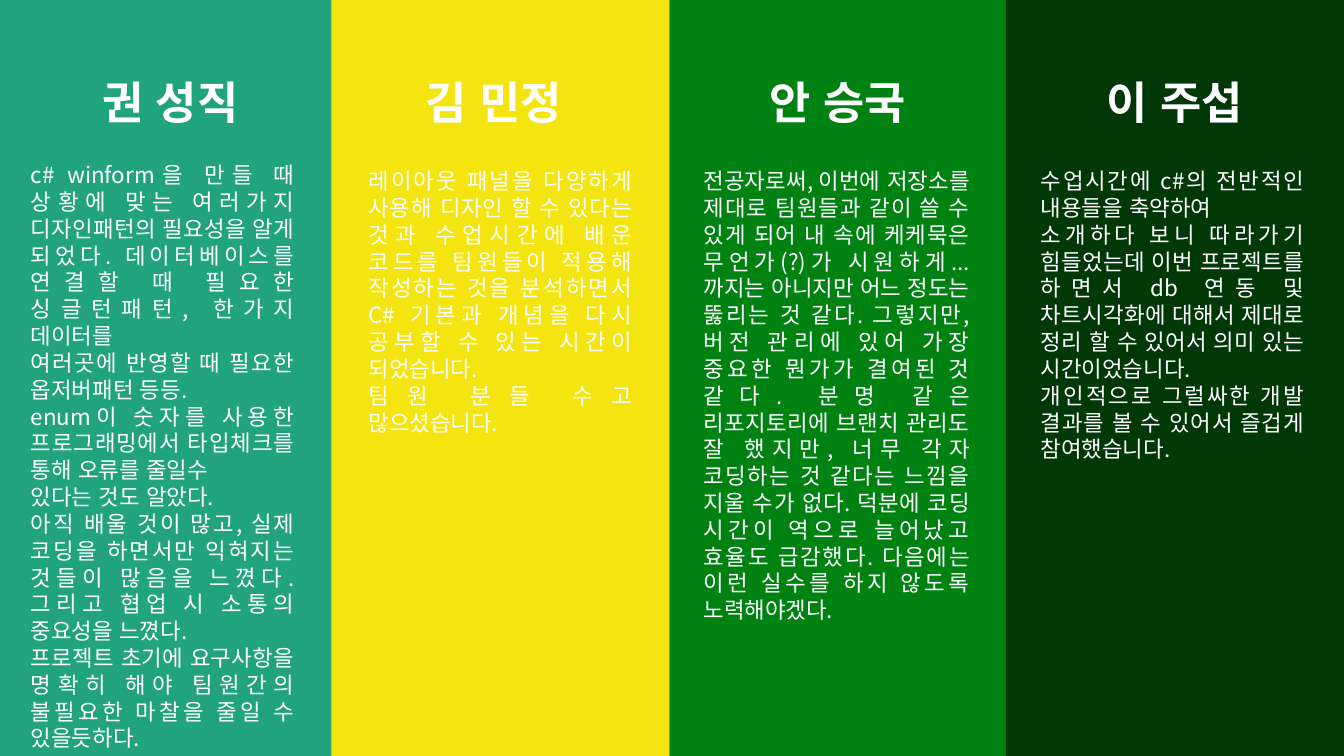
from dataclasses import dataclass

from lxml.etree import SubElement
from pptx import Presentation
from pptx.dml.color import RGBColor
from pptx.enum.dml import MSO_PATTERN
from pptx.enum.lang import MSO_LANGUAGE_ID
from pptx.enum.shapes import MSO_SHAPE
from pptx.enum.text import PP_ALIGN
from pptx.oxml.ns import qn
from pptx.util import Cm, Pt

SLIDE_WIDTH, SLIDE_HEIGHT = 33.87, 19.05
NAME_TOP, NAME_WIDTH, NAME_HEIGHT = 1.75, 4.11, 1.63


@dataclass(frozen=True)
class Theme:
    font: str = "Noto Sans CJK KR"
    text: str = "FFFFFF"
    hatch: str = "E2E2E2"
    paper: str = "FFFFFF"
    name_size: int = 32
    review_size: int = 16
    line_ratio: float = 1.197


@dataclass(frozen=True)
class Member:
    name: str
    color: str
    column_left: float
    name_left: float
    review_box: tuple
    review: tuple


THEME = Theme()

MEMBERS = [
    Member("권 성직", "21A37D", 0, 2.24, (0.53, 3.94, 7.14, 14.63), (
        "c# winform을 만들 때 상황에 맞는 여러가지 디자인패턴의 필요성을 알게 되었다. "
        "데이터베이스를 연결할 때 필요한 싱글턴패턴, 한가지 데이터를",
        "여러곳에 반영할 때 필요한 옵저버패턴 등등.",
        "enum이 숫자를 사용한 프로그래밍에서 타입체크를 통해 오류를 줄일수",
        "있다는 것도 알았다.",
        "아직 배울 것이 많고, 실제 코딩을 하면서만 익혀지는 것들이 많음을 느꼈다. "
        "그리고 협업 시 소통의 중요성을 느꼈다.",
        "프로젝트 초기에 요구사항을 명확히 해야 팀원간의 불필요한 마찰을 줄일 수 있을듯하다.",
    )),
    Member("김 민정", "F4E410", 8.36, 10.39, (9.04, 4.09, 7.14, 7.09), (
        "레이아웃 패널을 다양하게 사용해 디자인 할 수 있다는 것과 수업시간에 배운 코드를 "
        "팀원들이 적용해 작성하는 것을 분석하면서 C# 기본과 개념을 다시 공부할 수 있는 "
        "시간이 되었습니다.",
        "팀원 분들 수고 많으셨습니다.",
    )),
    Member("안 승국", "008213", 16.87, 19.05, (17.48, 4.09, 7.21, 11.89), (
        "전공자로써, 이번에 저장소를 제대로 팀원들과 같이 쓸 수 있게 되어 내 속에 케케묵은 "
        "무언가(?)가 시원하게...까지는 아니지만 어느 정도는 뚫리는 것 같다. 그렇지만, 버전 "
        "관리에 있어 가장 중요한 뭔가가 결여된 것 같다. 분명 같은 리포지토리에 브랜치 관리도 "
        "잘 했지만, 너무 각자 코딩하는 것 같다는 느낌을 지울 수가 없다. 덕분에 코딩 시간이 "
        "역으로 늘어났고 효율도 급감했다. 다음에는 이런 실수를 하지 않도록 노력해야겠다.",
    )),
    Member("이 주섭", "003808", 25.35, 27.56, (25.98, 4.09, 7.14, 7.77), (
        "수업시간에 c#의 전반적인 내용들을 축약하여",
        "소개하다 보니 따라가기 힘들었는데 이번 프로젝트를 하면서 db 연동 및 차트시각화에 "
        "대해서 제대로 정리 할 수 있어서 의미 있는 시간이었습니다.",
        "개인적으로 그럴싸한 개발 결과를 볼 수 있어서 즐겁게 참여했습니다.",
    )),
]


def paint_background(slide):
    fill = slide.background.fill
    fill.patterned()
    fill.pattern = MSO_PATTERN.LIGHT_UPWARD_DIAGONAL
    fill.fore_color.rgb = RGBColor.from_string(THEME.hatch)
    fill.back_color.rgb = RGBColor.from_string(THEME.paper)


def add_column(slide, left, right, color):
    shape = slide.shapes.add_shape(
        MSO_SHAPE.RECTANGLE, Cm(left), 0, Cm(right - left), Cm(SLIDE_HEIGHT))
    shape.shadow.inherit = False
    shape.fill.solid()
    shape.fill.fore_color.rgb = RGBColor.from_string(color)
    shape.line.fill.background()


def add_text(slide, box, lines, size, alignment, bold=False):
    frame = slide.shapes.add_textbox(*map(Cm, box)).text_frame
    frame.word_wrap = True
    for index, line in enumerate(lines):
        paragraph = frame.add_paragraph() if index else frame.paragraphs[0]
        paragraph.alignment = alignment
        paragraph.line_spacing = Pt(size * THEME.line_ratio)
        run = paragraph.add_run()
        run.text = line
        font = run.font
        font.size = Pt(size)
        font.bold = bold
        font.name = THEME.font
        font.language_id = MSO_LANGUAGE_ID.KOREAN
        font.color.rgb = RGBColor.from_string(THEME.text)
        SubElement(run._r.get_or_add_rPr(), qn("a:ea"), typeface=THEME.font)


def main():
    presentation = Presentation()
    presentation.slide_width = Cm(SLIDE_WIDTH)
    presentation.slide_height = Cm(SLIDE_HEIGHT)
    slide = presentation.slides.add_slide(presentation.slide_layouts[6])
    paint_background(slide)
    right_edges = [member.column_left for member in MEMBERS[1:]] + [SLIDE_WIDTH]
    for member, right in zip(MEMBERS, right_edges):
        add_column(slide, member.column_left, right, member.color)
        name_box = (member.name_left, NAME_TOP, NAME_WIDTH, NAME_HEIGHT)
        add_text(slide, name_box, [member.name], THEME.name_size, PP_ALIGN.CENTER, bold=True)
        add_text(slide, member.review_box, member.review, THEME.review_size, PP_ALIGN.JUSTIFY)
    presentation.save("out.pptx")


if __name__ == "__main__":
    main()
